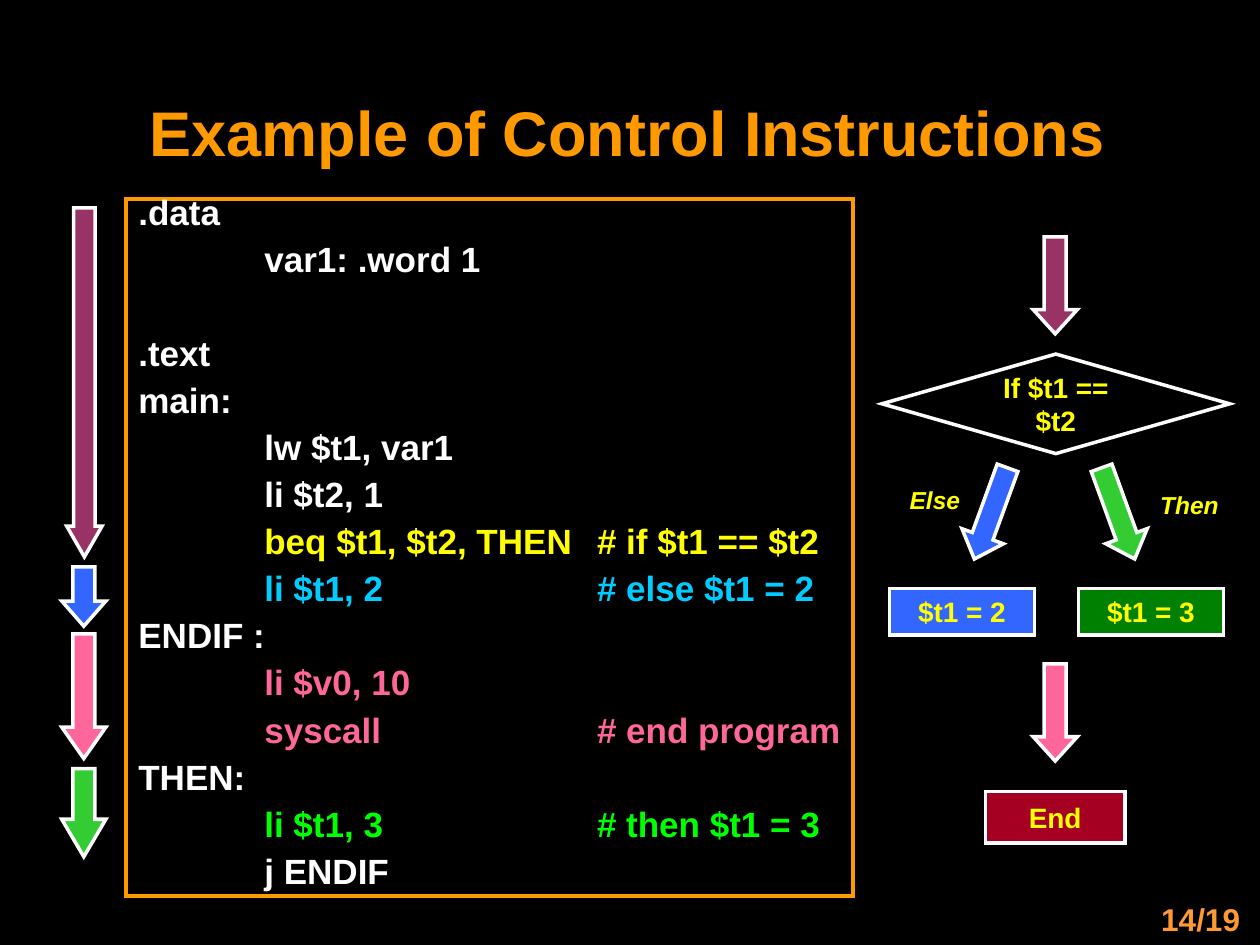
from dataclasses import dataclass
from lxml import etree
from pptx import Presentation
from pptx import util as u
from pptx.dml.color import RGBColor
from pptx.enum import shapes, text
from pptx.oxml import ns

"""Lengths are in cells of a grid of 100 columns by 75 rows."""
COLS, ROWS = 100, 75
WHITE, YELLOW, ORANGE, BLACK = "FFFFFF", "FFFF00", "FF9900", "000000"
PLUM, BLUE, PINK, GREEN = "993366", "3366FF", "FF6699", "33CC33"
SHAPE, ALIGN, ANCHOR = shapes.MSO_SHAPE, text.PP_ALIGN, text.MSO_ANCHOR

prs = Presentation()
prs.slide_width, prs.slide_height = u.Inches(10), u.Inches(7.5)


@dataclass
class Box:
    """A rectangle on the grid."""
    col: float
    row: float
    cols: float
    rows: float

    def emu(self) -> list[int]:
        """Return left, top, width and height."""
        cw, rh = prs.slide_width / COLS, prs.slide_height / ROWS
        return [round(n) for n in (self.col * cw, self.row * rh, self.cols * cw, self.rows * rh)]


@dataclass
class Arrow:
    """A block arrow pointing down, with its shaft and head ratios."""
    box: Box
    fill: str
    shaft: float = 0.5
    head: float = 0.55
    turn: float = 0


@dataclass
class Node:
    """A labelled step of the flowchart."""
    box: Box
    label: str
    fill: str
    kind: SHAPE = SHAPE.RECTANGLE


@dataclass
class Label:
    """A piece of free text."""
    box: Box
    words: str
    size: float = 14
    color: str = YELLOW
    align: ALIGN = ALIGN.CENTER
    italic: bool = True


@dataclass
class Line:
    """A line of the program with an optional comment."""
    code: str
    color: str = WHITE
    gap: float = 12.5


ARROWS = [
    Arrow(Box(82, 18.8, 3.5, 7.7), PLUM),
    Arrow(Box(87, 36.9, 3.5, 7.7), GREEN, turn=340),
    Arrow(Box(76.9, 36.9, 3.5, 7.7), BLUE, turn=20),
    Arrow(Box(82, 52.7, 3.5, 7.7), PINK),
    Arrow(Box(5.3, 16.5, 2.8, 27.7), PLUM, 0.61, 0.87),
    Arrow(Box(4.9, 45, 3.5, 4.7), BLUE, head=0.57),
    Arrow(Box(4.9, 50.3, 3.5, 9.9), PINK, head=0.71),
    Arrow(Box(4.9, 61, 3.5, 7), GREEN, head=0.85),
]
NODES = [
    Node(Box(70, 28.1, 27.6, 7.9), "If $t1 == $t2", BLACK, SHAPE.FLOWCHART_DECISION),
    Node(Box(70.6, 46.7, 11.5, 3.7), "$t1 = 2", BLUE),
    Node(Box(85.6, 46.7, 11.5, 3.7), "$t1 = 3", "008000"),
    Node(Box(78.2, 62.8, 11.1, 4.1), "End", "A50021", SHAPE.FLOWCHART_PROCESS),
]
LABELS = [
    Label(Box(90.4, 38.4, 8, 3.4), "Then"),
    Label(Box(70.2, 38, 8, 3.4), "Else"),
    Label(Box(78.6, 70.9, 20.8, 4), "14/19", 18, "FF9933", ALIGN.RIGHT, False),
]
PROGRAM = [
    Line(".data", gap=0),
    Line("\tvar1: .word 1"),
    Line(".text", gap=39.3),
    Line("main:"),
    Line("\tlw $t1, var1"),
    Line("\tli $t2, 1"),
    Line("\tbeq $t1, $t2, THEN\t# if $t1 == $t2", YELLOW),
    Line("\tli $t1, 2\t# else $t1 = 2", "00CCFF"),
    Line("ENDIF :"),
    Line("\tli $v0, 10", PINK),
    Line("\tsyscall\t# end program", PINK),
    Line("THEN:"),
    Line("\tli $t1, 3\t# then $t1 = 3", "00FF00"),
    Line("\tj ENDIF"),
]


def rgb(color: str) -> RGBColor:
    """Turn a hex string into a colour."""
    return RGBColor.from_string(color)


def write(p, words: str, *, size: float, color: str, align=ALIGN.CENTER, italic=False) -> None:
    """Add a bold run to a paragraph."""
    p.alignment = align
    r = p.add_run()
    r.text = words
    f = r.font
    f.name, f.size, f.bold, f.italic = "Arial", u.Pt(size), True, italic
    f.color.rgb = rgb(color)


def add_block(s, kind: SHAPE, box: Box, fill: str | None, line: str = WHITE):
    """Add a preset shape with a sharp-cornered outline."""
    sp = s.shapes.add_shape(kind, *box.emu())
    sp.shadow.inherit = False
    if fill:
        sp.fill.solid()
        sp.fill.fore_color.rgb = rgb(fill)
    else:
        sp.fill.background()
    sp.line.color.rgb, sp.line.width = rgb(line), u.Pt(2)
    etree.SubElement(sp._element.spPr.find(ns.qn("a:ln")), ns.qn("a:miter"), lim="800000")
    return sp


def add_arrow(s, a: Arrow) -> None:
    """Draw a block arrow."""
    sp = add_block(s, SHAPE.DOWN_ARROW, a.box, a.fill)
    sp.adjustments[0], sp.adjustments[1] = a.shaft, a.head
    sp.rotation = a.turn


def add_node(s, n: Node) -> None:
    """Draw a flowchart step."""
    tf = add_block(s, n.kind, n.box, n.fill).text_frame
    tf.word_wrap, tf.vertical_anchor = True, ANCHOR.MIDDLE
    write(tf.paragraphs[0], n.label, size=16, color=YELLOW)


def add_label(s, b: Label) -> None:
    """Draw free text."""
    tf = s.shapes.add_textbox(*b.box.emu()).text_frame
    tf.word_wrap = True
    write(tf.paragraphs[0], b.words, size=b.size, color=b.color, align=b.align, italic=b.italic)


def add_tabs(p, *stops: float) -> None:
    """Set left tab stops, in inches."""
    tabs = etree.SubElement(p._p.get_or_add_pPr(), ns.qn("a:tabLst"))
    for stop in stops:
        etree.SubElement(tabs, ns.qn("a:tab"), pos=str(u.Inches(stop)), algn="l")


def add_program(s, box: Box, lines: list[Line]) -> None:
    """Draw the framed program listing."""
    tf = add_block(s, SHAPE.RECTANGLE, box, None, ORANGE).text_frame
    tf.word_wrap, tf.vertical_anchor, tf.margin_right = True, ANCHOR.TOP, 0
    for i, ln in enumerate(lines):
        p = tf.add_paragraph() if i else tf.paragraphs[0]
        add_tabs(p, 1, 3.64)
        p.line_spacing, p.space_before = 0.6, u.Pt(ln.gap)
        write(p, ln.code, size=20, color=ln.color, align=ALIGN.LEFT)


def main() -> None:
    """Build and save the slide."""
    s = prs.slides.add_slide(prs.slide_layouts[5])
    s.background.fill.solid()
    s.background.fill.fore_color.rgb = rgb(BLACK)
    title = s.shapes.title
    title.left, title.top, title.width, title.height = Box(7.3, 5.8, 85, 9.3).emu()
    title.text_frame.vertical_anchor = ANCHOR.MIDDLE
    write(title.text_frame.paragraphs[0], "Example of Control Instructions", size=36, color=ORANGE)
    add_program(s, Box(10, 15.8, 57.7, 55.3), PROGRAM)
    for draw, items in ((add_node, NODES), (add_arrow, ARROWS), (add_label, LABELS)):
        for item in items:
            draw(s, item)
    prs.save("out.pptx")


if __name__ == "__main__":
    main()
